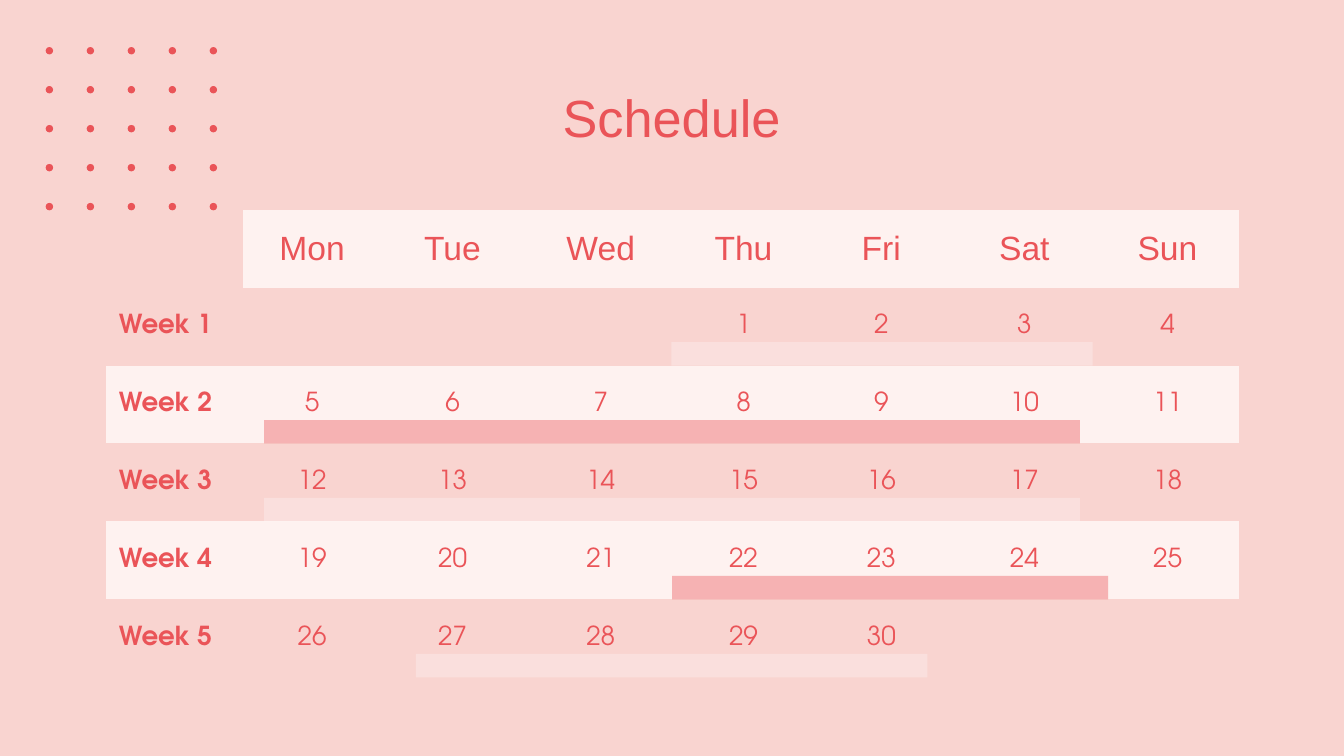
from itertools import product

from lxml import etree
from pptx import Presentation
from pptx.dml.color import RGBColor
from pptx.enum.shapes import MSO_SHAPE as Shape
from pptx.enum.text import MSO_ANCHOR as Anchor, MSO_AUTO_SIZE as Fit, PP_ALIGN as Align
from pptx.oxml.ns import qn
from pptx.util import Inches, Pt

COLORS = {"back": "F9D4D0", "red": "EA5458", "pale": "FEF2F0", "white": "FFFFFF"}
HEAD, BODY = "Arial", "TeX Gyre Adventor"
NO_STYLE = "{2D5ABB26-0587-4C30-8999-92F81FD0307C}"

DAYS = ["Mon", "Tue", "Wed", "Thu", "Fri", "Sat", "Sun"]
WIDTHS = [2.05, 2.05, 2.13, 2.28, 1.97, 2.13, 2.13, 2.13]
LEFT, TOP, ROW = 1.57, 3.12, 1.16
START, LAST, WEEKS = 3, 30, 5  # weekday of day 1, days in the month, rows
BAR = 0.35

# week, left, width, colour, opacity in percent
BARS = [
    (1, 9.99, 6.27, "white", 28),
    (3, 3.93, 12.14, "white", 28),
    (5, 6.19, 7.61, "white", 28),
    (2, 3.93, 12.14, "red", 40),
    (4, 10, 6.49, "red", 40),
]


class Deck:
    def __init__(self):
        self.prs = Presentation()
        self.prs.slide_width = Inches(20)
        self.prs.slide_height = Inches(11.25)
        self.slide = self.prs.slides.add_slide(self.prs.slide_layouts[5])
        self.paint(self.slide.background.fill, "back")

    def paint(self, fill, color):
        fill.solid()
        fill.fore_color.rgb = RGBColor.from_string(COLORS[color])

    def label(self, frame, text, size, font, bold=False, align=Align.CENTER):
        frame.text = text
        par = frame.paragraphs[0]
        par.alignment = align
        for run in par.runs:
            run.font.size, run.font.name, run.font.bold = Pt(size), font, bold
            run.font.color.rgb = RGBColor.from_string(COLORS["red"])

    def pad(self, box):
        box.margin_left = box.margin_right = Inches(0.2)
        box.margin_top = box.margin_bottom = Inches(0.2)

    def title(self, text, x, y, w, h):
        box = self.slide.shapes.title
        box.left, box.top, box.width, box.height = map(Inches, (x, y, w, h))
        frame = box.text_frame
        self.pad(frame)
        frame.auto_size, frame.vertical_anchor = Fit.NONE, Anchor.TOP
        self.label(frame, text, 56, HEAD)
        frame.paragraphs[0].line_spacing = 1.1

    def shape(self, shapes, kind, x, y, w, h, color):
        item = shapes.add_shape(kind, *map(Inches, (x, y, w, h)))
        item.shadow.inherit = False
        self.paint(item.fill, color)
        item.line.fill.background()
        return item

    def dots(self, x, y, size, dx, dy, count):
        group = self.slide.shapes.add_group_shape()
        for col, row in product(range(count), repeat=2):
            self.shape(group.shapes, Shape.OVAL, x + col * dx, y + row * dy,
                       size, size, "red")

    def bar(self, week, x, w, color, alpha):
        """Mark a span of days along the bottom edge of a week's row."""
        y = TOP + (week + 1) * ROW - BAR
        item = self.shape(self.slide.shapes, Shape.RECTANGLE, x, y, w, BAR, color)
        tint = item.fill._xPr.find(qn("a:solidFill"))[0]
        etree.SubElement(tint, qn("a:alpha"), val=str(alpha * 1000))

    def cell(self, cell, text, pale, **style):
        self.pad(cell)
        cell.vertical_anchor = Anchor.MIDDLE
        if pale:
            self.paint(cell.fill, "pale")
        else:
            cell.fill.background()
        if text:
            self.label(cell.text_frame, text, **style)

    def month(self):
        table = self.slide.shapes.add_table(
            WEEKS + 1, len(WIDTHS), Inches(LEFT), Inches(TOP),
            Inches(sum(WIDTHS)), Inches(ROW * (WEEKS + 1))).table
        table.first_row = table.horz_banding = False
        table._tbl.tblPr.find(qn("a:tableStyleId")).text = NO_STYLE
        for col, width in zip(table.columns, WIDTHS):
            col.width = Inches(width)
        for row in table.rows:
            row.height = Inches(ROW)

        self.cell(table.cell(0, 0), "", False)
        for col, day in enumerate(DAYS, 1):
            self.cell(table.cell(0, col), day, True, size=36, font=HEAD)
        for week in range(1, WEEKS + 1):
            pale = week % 2 == 0
            self.cell(table.cell(week, 0), f"Week {week}", pale, size=28,
                      font=BODY, bold=True, align=Align.LEFT)
            for col in range(1, len(WIDTHS)):
                date = (week - 1) * 7 + col - START
                text = str(date) if 1 <= date <= LAST else ""
                self.cell(table.cell(week, col), text, pale, size=28, font=BODY)


def main():
    deck = Deck()
    deck.dots(0.68, 0.7, 0.11, 0.61, 0.58, 5)
    deck.title("Schedule", 1.57, 0.97, 16.85, 1.25)
    deck.month()
    for bar in BARS:
        deck.bar(*bar)
    deck.prs.save("out.pptx")


if __name__ == "__main__":
    main()
